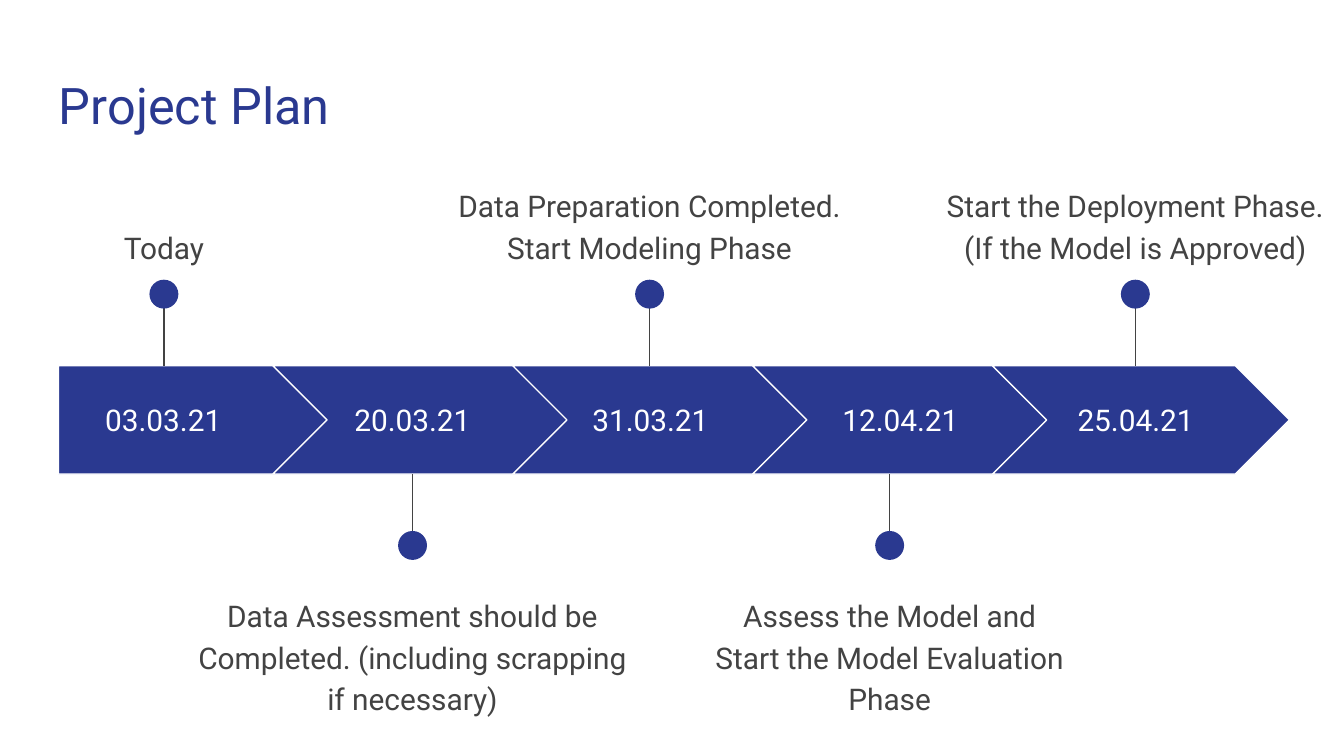
from pptx import Presentation
from pptx.dml.color import RGBColor
from pptx.enum.shapes import MSO_CONNECTOR, MSO_SHAPE
from pptx.enum.text import MSO_ANCHOR, PP_ALIGN
from pptx.oxml.ns import qn
from pptx.util import Pt
from lxml.etree import SubElement

# Content: date, date centre, pin centre, label, label width, label top
STEPS = [
    ("03.03.21", 87.5, 87.8, "Today", 70.6, 113),
    ("20.03.21", 221, 221, "Data Assessment should be Completed. "
     "(including scrapping if necessary)", 244.8, 310.3),
    ("31.03.21", 348.5, 348, "Data Preparation Completed. "
     "Start Modeling Phase", 223.2, 90.7),
    ("12.04.21", 482.4, 476.6, "Assess the Model and "
     "Start the Model Evaluation Phase", 206, 310.3),
    ("25.04.21", 608.4, 608.2, "Start the Deployment Phase. "
     "(If the Model is Approved)", 232.6, 90.7),
]
BLUE, GREY, WHITE = "2A3990", "434343", "FFFFFF"
FONT = "Roboto"

# Arrow band and pins
TOP, HIGH = 196, 58
FIRST, WIDE = 145.4, 159.1
LEFT, STEP = 146.2, 128.5
DOT = 15.5
UP, DOWN = 157.6, 292.2  # dot centres above and below the band


def paint(hue):
    return RGBColor.from_string(hue)


def write(slide, text, box, size, hue, align=PP_ALIGN.CENTER,
          anchor=MSO_ANCHOR.TOP, space=None):
    frame = slide.shapes.add_textbox(*map(Pt, box)).text_frame
    frame.word_wrap = True
    frame.vertical_anchor = anchor
    frame.margin_left = frame.margin_right = Pt(7.2)
    frame.margin_top = frame.margin_bottom = Pt(7.2)
    frame.text = text
    para = frame.paragraphs[0]
    para.alignment = align
    if space:
        para.line_spacing = space
    font = para.runs[0].font
    font.name, font.size = FONT, Pt(size)
    font.color.rgb = paint(hue)


def draw(slide, kind, box, edge=None):
    shape = slide.shapes.add_shape(kind, *map(Pt, box))
    shape.shadow.inherit = False
    shape.fill.solid()
    shape.fill.fore_color.rgb = paint(BLUE)
    if edge:
        shape.line.color.rgb = paint(edge)
        shape.line.width = Pt(0.75)
    else:
        shape.line.fill.background()
    return shape


def pin(slide, x, dot, end):
    line = slide.shapes.add_connector(
        MSO_CONNECTOR.STRAIGHT, Pt(x), Pt(dot), Pt(x), Pt(end))
    line.line.color.rgb = paint(GREY)
    line.line.width = Pt(0.75)
    SubElement(line._element.spPr, qn("a:effectLst"))
    draw(slide, MSO_SHAPE.OVAL, (x - DOT / 2, dot - DOT / 2, DOT, DOT))


def main():
    deck = Presentation()
    deck.slide_width, deck.slide_height = Pt(720), Pt(405)
    slide = deck.slides.add_slide(deck.slide_layouts[6])

    write(slide, "Project Plan", (24.5, 32.4, 671, 47.5), 27, BLUE,
          align=PP_ALIGN.LEFT)

    for i, (date, mid, x, label, wide, top) in enumerate(STEPS):
        # Arrow with its date
        if i == 0:
            kind, box = MSO_SHAPE.PENTAGON, (31.3, TOP, FIRST, HIGH)
        else:
            left = LEFT + (i - 1) * STEP
            kind, box = MSO_SHAPE.CHEVRON, (left, TOP, WIDE, HIGH)
        draw(slide, kind, box, WHITE).adjustments[0] = 0.5
        write(slide, date, (mid - 51, 206.6, 102, 36.7), 16, WHITE,
              anchor=MSO_ANCHOR.MIDDLE)

        # Pins alternate above and below
        if i % 2 == 0:
            pin(slide, x, UP, TOP)
        else:
            pin(slide, x, DOWN, TOP + HIGH)
        high = 70.6 if i % 2 else 54
        write(slide, label, (x - wide / 2, top, wide, high), 16, GREY,
              space=1.15)

    deck.save("out.pptx")


if __name__ == "__main__":
    main()
